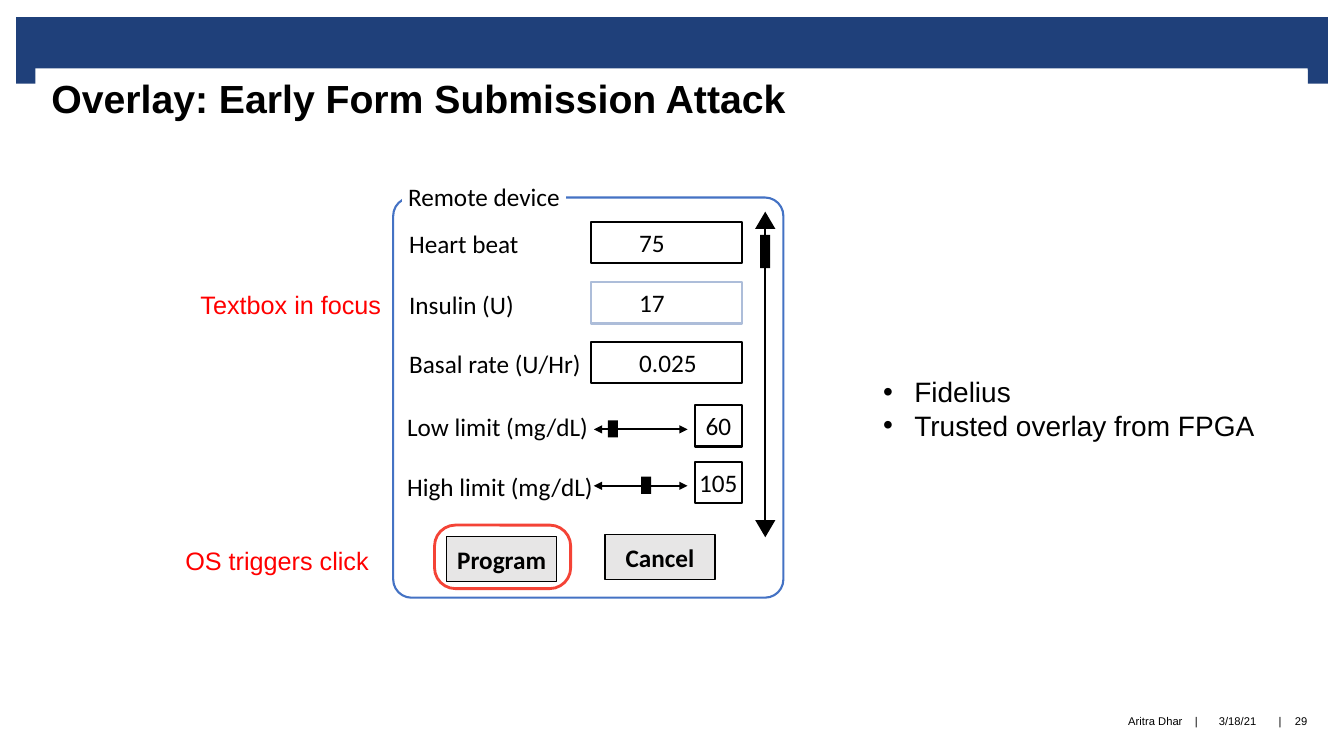
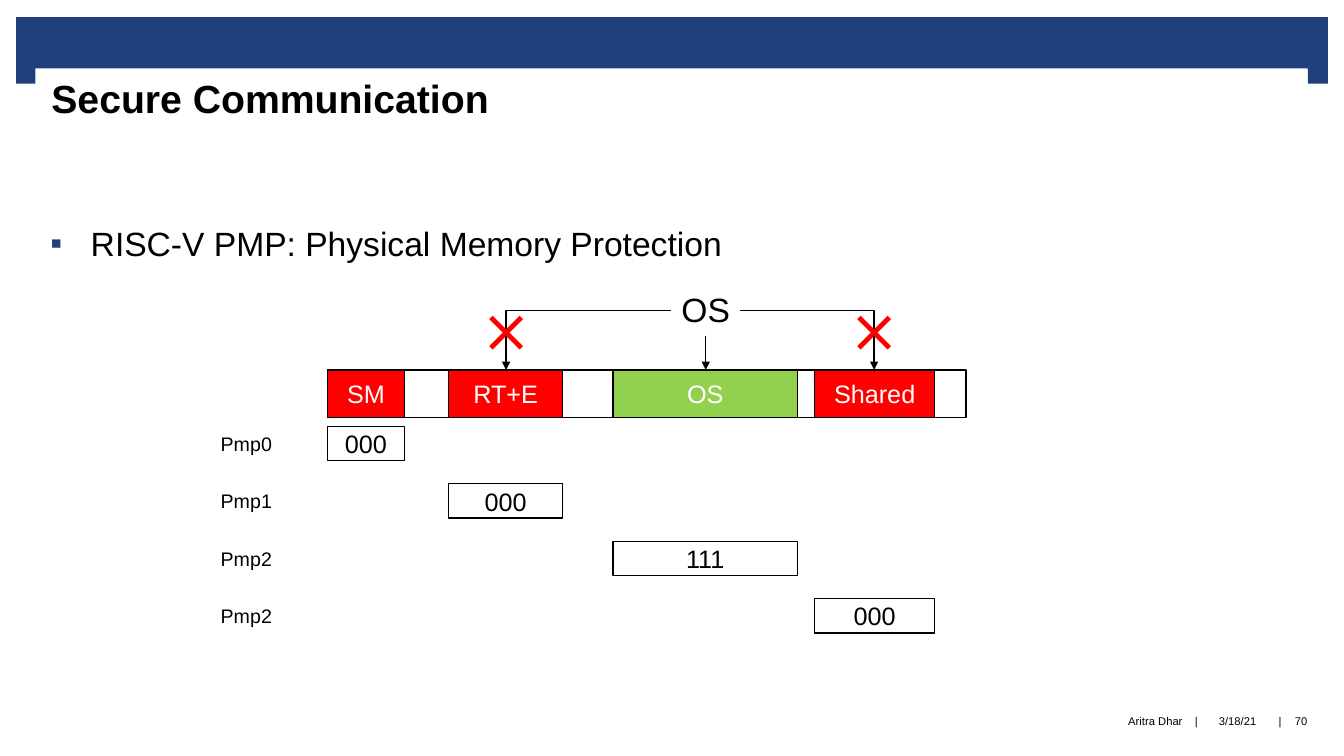
"""Build two slides: a form overlay attack and a memory protection diagram."""
from lxml import etree
from pptx import Presentation, util as u
from pptx.dml.color import RGBColor
from pptx.enum import shapes, text
from pptx.oxml.ns import qn

COLORS = {"band": "1F407A", "black": "000000", "white": "FFFFFF", "red": "FF0000",
          "green": "92D050", "frame": "4472C4", "focus": "ADBDD9",
          "button": "E7E6E6", "alert": "F44336"}
KIND = shapes.MSO_SHAPE
ALIGN = text.PP_ALIGN
MIDDLE = text.MSO_ANCHOR.MIDDLE
WIDTH, HEIGHT = 13.33, 7.5

BANDS = [(0.16, 0.17, 13.01, 0.52), (0.16, 0.65, 0.2, 0.18), (12.97, 0.65, 0.2, 0.18)]
AUTHOR, DATE = "Aritra Dhar", "3/18/21"

FORM_TITLE = "Overlay: Early Form Submission Attack"
FIELDS = [("Heart beat", "75", 2.2, "black"), ("Insulin (U)", "17", 2.8, "focus"),
          ("Basal rate (U/Hr)", "0.025", 3.39, "black")]
LIMITS = [("Low limit (mg/dL)", "60", 4.02, 4.03, 6.03),
          ("High limit (mg/dL)", "105", 4.58, 4.63, 6.36)]
BUTTONS = [("Program", 4.43, 5.32), ("Cancel", 6, 5.3)]
CALLOUTS = [("Textbox in focus", 1.89, 2.82, 2.3), ("OS triggers click", 1.74, 5.36, 2.21)]
DEFENCES = ["Fidelius", "Trusted overlay from FPGA"]

MEMORY_TITLE = "Secure Communication"
MEMORY_POINT = "RISC-V PMP: Physical Memory Protection"
REGIONS = [("SM", 3.25, 0.76, "red", "Pmp0", "000"), ("RT+E", 4.45, 1.13, "red", "Pmp1", "000"),
           ("OS", 6.08, 1.83, "green", "Pmp2", "111"), ("Shared", 8.08, 1.19, "red", "Pmp2", "000")]
MEMORY_TOP, MEMORY_HEIGHT = 3.67, 0.47
PMP_TOP, PMP_PITCH, PMP_HEIGHT = 4.23, 0.57, 0.34


def color(name):
    return RGBColor.from_string(COLORS[name])


def inches(*lengths):
    return [u.Inches(length) for length in lengths]


def write(box, lines, size, ink="black", font="Arial", bold=False, align=ALIGN.LEFT,
          anchor=text.MSO_ANCHOR.TOP, insets=(0.1, 0.05, 0.1, 0.05), wrap=False, bullet=None):
    """Fill a box with paragraphs; bullet is (symbol, indent, colour)."""
    frame = box.text_frame
    frame.word_wrap = wrap
    frame.vertical_anchor = anchor
    (frame.margin_left, frame.margin_top,
     frame.margin_right, frame.margin_bottom) = inches(*insets)
    for index, line in enumerate(lines):
        para = frame.add_paragraph() if index else frame.paragraphs[0]
        para.text = line
        para.alignment = align
        if bullet:
            add_bullet(para, *bullet)
        para.font.size = u.Pt(size)
        para.font.name = font
        para.font.bold = bold
        para.font.color.rgb = color(ink)


def add_bullet(para, symbol, indent, ink):
    props = para._p.get_or_add_pPr()
    props.set("marL", str(u.Inches(indent)))
    props.set("indent", str(-u.Inches(indent)))
    tint = etree.SubElement(props, qn("a:buClr"))
    etree.SubElement(tint, qn("a:srgbClr"), val=COLORS[ink])
    etree.SubElement(props, qn("a:buFont"), typeface="Arial")
    etree.SubElement(props, qn("a:buChar"), char=symbol)


def add_text(page, at, lines, size, **style):
    box = page.shapes.add_textbox(*inches(*at))
    write(box, lines, size, **style)
    return box


def add_box(page, at, fill=None, line=None, weight=1, kind=KIND.RECTANGLE, adjust=None):
    box = page.shapes.add_shape(kind, *inches(*at))
    box.shadow.inherit = False
    if fill:
        box.fill.solid()
        box.fill.fore_color.rgb = color(fill)
    else:
        box.fill.background()
    if line:
        box.line.color.rgb = color(line)
        box.line.width = u.Pt(weight)
    else:
        box.line.fill.background()
    if adjust is not None:
        box.adjustments[0] = adjust
    return box


def add_line(page, start, end, weight=1, ends=(), kind=shapes.MSO_CONNECTOR.STRAIGHT):
    line = page.shapes.add_connector(kind, *inches(*start, *end))
    line.line.color.rgb = color("black")
    line.line.width = u.Pt(weight)
    props = line._element.spPr
    for end_name in ends:
        etree.SubElement(props.find(qn("a:ln")), qn(f"a:{end_name}"), type="triangle")
    etree.SubElement(props, qn("a:effectLst"))
    return line


def add_elbow(page, left, right, top, bottom, mirrored):
    """Draw a one-bend arrow that ends downwards, on the left if mirrored."""
    elbow = add_line(page, (left, top), (right, bottom), ends=["tailEnd"],
                     kind=shapes.MSO_CONNECTOR.ELBOW)
    props = elbow._element.spPr
    props.find(qn("a:prstGeom")).set("prst", "bentConnector2")
    if mirrored:
        frame = props.find(qn("a:xfrm"))
        frame.set("rot", "10800000")
        frame.set("flipV", "1")


def add_page(deck, title, number):
    page = deck.slides.add_slide(deck.slide_layouts[6])
    for band in BANDS:
        add_box(page, band, "band")
    footer = [("|", 12.62, 0.15, ALIGN.CENTER), ("|", 11.79, 0.15, ALIGN.CENTER),
              (DATE, 11.94, 0.67, ALIGN.CENTER), (AUTHOR, 6.66, 5.07, ALIGN.RIGHT),
              (str(number), 12.71, 0.39, ALIGN.CENTER)]
    for words, left, width, align in footer:
        add_text(page, (left, 6.9, width, 0.5), [words], 8, align=align,
                 anchor=MIDDLE, insets=(0, 0, 0, 0))
    heading = add_box(page, (0.35, 0.68, 12.62, 1.06), "white")
    write(heading, [title], 28, bold=True, insets=(0.16, 0.06, 0.16, 0), wrap=True)
    return page


def build_form(deck):
    page = add_page(deck, FORM_TITLE, 29)
    label_left, box_height = 3.96, 0.41
    add_box(page, (3.9, 1.96, 3.87, 3.97), "white", "frame", 1.5, KIND.ROUNDED_RECTANGLE, 0.047)
    add_box(page, (3.99, 1.92, 1.62, 0.18), "white", "white")
    add_text(page, (3.95, 1.75, 1.73, 0.4), ["Remote device"], 18, font="Calibri")

    for label, value, top, edge in FIELDS:
        add_text(page, (label_left, top + 0.02, 1.93, 0.4), [label], 18, font="Calibri")
        field = add_box(page, (5.86, top, 1.5, box_height), "white", edge, 1.5)
        write(field, [value], 18, font="Calibri", anchor=MIDDLE, insets=(0.48, 0, 0, 0))

    for label, value, top, label_top, knob_left in LIMITS:
        add_text(page, (label_left - 0.02, label_top, 2.04, 0.4), [label], 18, font="Calibri")
        axis = top + 0.24
        add_line(page, (5.89, axis), (6.82, axis), 1.5, ["headEnd", "tailEnd"])
        add_box(page, (knob_left, axis - 0.09, 0.1, 0.17), "black")
        field = add_box(page, (6.89, top, 0.47, box_height), "white", "black", 1.5)
        write(field, [value], 18, font="Calibri", align=ALIGN.CENTER, anchor=MIDDLE,
              insets=(0, 0, 0, 0))

    for label, left, top in BUTTONS:
        button = add_box(page, (left, top, 1.09, 0.45), "button", "black")
        write(button, [label], 18, font="Calibri", bold=True, align=ALIGN.CENTER, anchor=MIDDLE)

    for top, angle in [(2.1, 0), (5.16, 180)]:
        add_box(page, (7.49, top, 0.2, 0.17), "black", kind=KIND.ISOSCELES_TRIANGLE).rotation = angle
    add_line(page, (7.59, 2.27), (7.59, 5.16), 1.5)
    add_box(page, (7.54, 2.33, 0.1, 0.33), "black")

    for words, left, top, width in CALLOUTS:
        add_text(page, (left, top, width, 0.4), [words], 18, ink="red", wrap=True)
    add_box(page, (4.31, 5.21, 1.35, 0.63), None, "alert", 2, KIND.ROUNDED_RECTANGLE, 0.328)
    add_text(page, (8.66, 3.67, 4.26, 1.11), DEFENCES, 20, wrap=True, bullet=("•", 0.31, "black"))


def build_memory(deck):
    page = add_page(deck, MEMORY_TITLE, 70)
    add_text(page, (0.35, 2.21, 12.62, 0.5), [MEMORY_POINT], 24, wrap=True,
             insets=(0.15, 0, 0.16, 0), bullet=("▪", 0.4, "band"))
    add_box(page, (3.25, MEMORY_TOP, 6.33, MEMORY_HEIGHT), "white", "black")

    for row, (name, left, width, fill, register, bits) in enumerate(REGIONS):
        region = add_box(page, (left, MEMORY_TOP, width, MEMORY_HEIGHT), fill, "black")
        write(region, [name], 18, ink="white", align=ALIGN.CENTER, anchor=MIDDLE)
        top = PMP_TOP + row * PMP_PITCH
        add_text(page, (2.09, top, 0.71, PMP_HEIGHT), [register], 14, anchor=MIDDLE)
        rights = add_box(page, (left, top, width, PMP_HEIGHT), "white", "black")
        write(rights, [bits], 18, align=ALIGN.CENTER, anchor=MIDDLE)

    add_text(page, (6.66, 2.82, 0.69, 0.5), ["OS"], 24)
    add_line(page, (7, 3.33), (7, MEMORY_TOP), ends=["tailEnd"])
    for left, right, mirrored in [(5.02, 6.66, True), (7.34, 8.67, False)]:
        add_elbow(page, left, right, 3.08, MEMORY_TOP, mirrored)
        target = left if mirrored else right
        add_box(page, (target - 0.29, 3.01, 0.58, 0.58), "red",
                kind=KIND.MATH_MULTIPLY, adjust=0.084)


def main():
    deck = Presentation()
    deck.slide_width, deck.slide_height = inches(WIDTH, HEIGHT)
    build_form(deck)
    build_memory(deck)
    deck.save("out.pptx")


if __name__ == "__main__":
    main()
